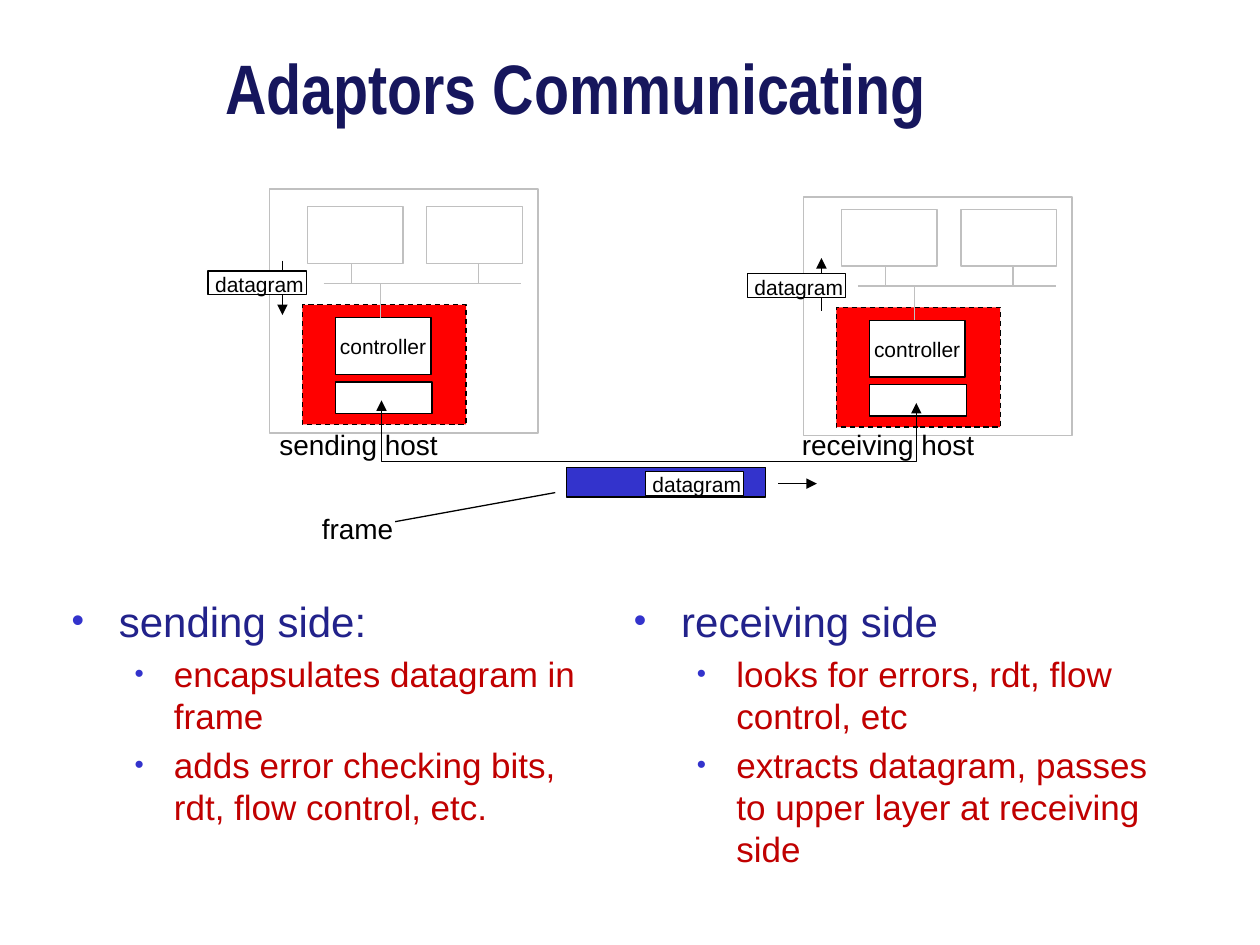
from dataclasses import dataclass
from lxml.etree import SubElement
from pptx import Presentation
from pptx.dml.color import RGBColor
from pptx.enum.dml import MSO_LINE
from pptx.enum.shapes import MSO_CONNECTOR, MSO_SHAPE
from pptx.enum.text import MSO_ANCHOR, MSO_AUTO_SIZE, PP_ALIGN
from pptx.oxml.ns import qn
from pptx.util import Pt


@dataclass(frozen=True)
class Theme:
    font: str = "Arial"
    title_font: str = "Arial Narrow"
    title: str = "16165D"
    heading: str = "22228B"
    detail: str = "C00000"
    accent: str = "3333CC"
    adaptor: str = "FF0000"
    black: str = "000000"
    white: str = "FFFFFF"
    grey: str = "C0C0C0"
    title_size: float = 40
    heading_size: float = 24
    detail_size: float = 20
    label_size: float = 16
    small_size: float = 12
    line_width: float = 0.75


THEME = Theme()


def set_values(target, values):
    for name, value in values.items():
        setattr(target, name, value)


def format_font(paragraph, size, color, name=THEME.font, bold=False):
    set_values(paragraph.font, {"size": Pt(size), "name": name, "bold": bold})
    paragraph.font.color.rgb = RGBColor.from_string(color)


def format_line(line, color, ends=(), dash=None):
    line.color.rgb = RGBColor.from_string(color)
    line.width = Pt(THEME.line_width)
    if dash:
        line.dash_style = dash
    for end in ends:
        SubElement(line._get_or_add_ln(), qn(f"a:{end}"), type="triangle")


def write_text(shape, text, size, color=THEME.black, wrap=False, **font_values):
    set_values(shape.text_frame, {"word_wrap": wrap, "vertical_anchor": MSO_ANCHOR.MIDDLE})
    paragraph = shape.text_frame.paragraphs[0]
    set_values(paragraph, {"text": text, "alignment": PP_ALIGN.CENTER})
    format_font(paragraph, size, color, **font_values)


def add_box(slide, left, top, width, height, fill=THEME.white, line=THEME.black, dash=None):
    shape = slide.shapes.add_shape(
        MSO_SHAPE.RECTANGLE, Pt(left), Pt(top), Pt(width), Pt(height))
    shape.shadow.inherit = False
    shape.fill.solid()
    shape.fill.fore_color.rgb = RGBColor.from_string(fill)
    format_line(shape.line, line, dash=dash)
    return shape


def add_line(slide, start_x, start_y, end_x, end_y, color=THEME.black, ends=()):
    connector = slide.shapes.add_connector(
        MSO_CONNECTOR.STRAIGHT, Pt(start_x), Pt(start_y), Pt(end_x), Pt(end_y))
    format_line(connector.line, color, ends)
    SubElement(connector._element.spPr, qn("a:effectLst"))


def add_label(slide, text, left, top, width, height, size=THEME.label_size):
    shape = slide.shapes.add_textbox(Pt(left), Pt(top), Pt(width), Pt(height))
    write_text(shape, text, size)
    set_values(shape.text_frame, {
        "margin_left": Pt(0), "margin_right": Pt(0), "auto_size": MSO_AUTO_SIZE.NONE})


def add_title(slide, left, top, width, height):
    shape = slide.shapes.add_textbox(Pt(left), Pt(top), Pt(width), Pt(height))
    write_text(shape, "Adaptors Communicating", THEME.title_size, THEME.title,
               wrap=True, name=THEME.title_font, bold=True)


def add_datagram(slide, left, top):
    add_box(slide, left, top, 56.2, 13.7)
    add_label(slide, "datagram", left - 2.9, top - 3.2, 64.8, 21.6, THEME.small_size)


def add_host(slide, left, top, width, height):
    bottom = top + height
    bus = bottom - 85.5
    add_box(slide, left, top, width, height, line=THEME.grey)
    add_box(slide, left + 18.8, bottom - 73.3, 93.6, 68.4, THEME.adaptor, dash=MSO_LINE.DASH)
    add_box(slide, left + 37.6, bottom - 29.3, 55.4, 18)
    controller = add_box(slide, left + 37.6, bottom - 66, 54.7, 32.4)
    write_text(controller, "controller", THEME.small_size)
    add_line(slide, left + 31, bus, left + 144, bus, THEME.grey)
    add_line(slide, left + 63.5, bottom - 66, left + 63.5, bus, THEME.grey)
    for box_left, stem in ((21.6, 47), (89.9, 119.6)):
        add_box(slide, left + box_left, bottom - 129.4, 54.7, 32.4, line=THEME.grey)
        add_line(slide, left + stem, bus, left + stem, bus - 11, THEME.grey)


def add_link(slide, left, top, width, height):
    right, bottom = left + width, top + height
    builder = slide.shapes.build_freeform(Pt(left), Pt(top))
    builder.add_line_segments(
        [(Pt(x), Pt(y)) for x, y in ((left, bottom), (right, bottom), (right, top + 1.5))],
        close=False)
    shape = builder.convert_to_shape()
    shape.shadow.inherit = False
    shape.fill.background()
    format_line(shape.line, THEME.black, ("headEnd", "tailEnd"))


def add_frame(slide, left, top, width, height):
    middle = top + 9.3
    add_box(slide, left, top, width, height, THEME.accent)
    add_datagram(slide, left + 44.9, top + 2.2)
    add_line(slide, left + 121, middle, left + 143, middle, ends=("tailEnd",))
    add_label(slide, "frame", left - 147.2, top + 21.6, 55.4, 26.6)
    add_line(slide, left - 98, top + 31, left - 6.5, top + 14.4)


def add_bullet(paragraph, indent, hanging, percent):
    properties = paragraph._p.get_or_add_pPr()
    properties.set("marL", str(Pt(indent)))
    properties.set("indent", str(-Pt(hanging)))
    color = SubElement(properties, qn("a:buClr"))
    SubElement(color, qn("a:srgbClr"), val=THEME.accent)
    SubElement(properties, qn("a:buSzPct"), val=str(percent * 1000))
    SubElement(properties, qn("a:buFont"), typeface=THEME.font)
    SubElement(properties, qn("a:buChar"), char="•")


def add_side(slide, left, top, width, height, heading, details):
    shape = slide.shapes.add_textbox(Pt(left), Pt(top), Pt(width), Pt(height))
    frame = shape.text_frame
    frame.word_wrap = True
    paragraph = frame.paragraphs[0]
    paragraph.text = heading
    add_bullet(paragraph, 27, 27, 85)
    format_font(paragraph, THEME.heading_size, THEME.heading)
    for detail in details:
        paragraph = frame.add_paragraph()
        set_values(paragraph, {"text": detail, "level": 1, "space_before": Pt(4)})
        add_bullet(paragraph, 58.5, 22.5, 75)
        format_font(paragraph, THEME.detail_size, THEME.detail)


def main():
    presentation = Presentation()
    set_values(presentation, {"slide_width": Pt(720), "slide_height": Pt(540)})
    slide = presentation.slides.add_slide(presentation.slide_layouts[6])

    add_title(slide, 23, 4.5, 612, 90)
    add_side(slide, 33.8, 336.6, 320.4, 152.6, "sending side:", (
        "encapsulates datagram in frame",
        "adds error checking bits, rdt, flow control, etc."))
    add_side(slide, 355.2, 336.6, 321.8, 145.4, "receiving side", (
        "looks for errors, rdt, flow control, etc",
        "extracts datagram, passes to upper layer at receiving side"))

    add_host(slide, 154, 108, 153.4, 139.5)
    add_host(slide, 459.2, 112.5, 153.4, 136.5)
    add_label(slide, "sending host", 152.4, 240.6, 105.1, 26.6)
    add_label(slide, "receiving host", 451, 240.6, 113, 26.6)
    add_line(slide, 161.4, 149, 161.4, 180, ends=("tailEnd",))
    add_datagram(slide, 118.8, 154.8)
    add_line(slide, 469.4, 147.5, 469.4, 178, ends=("headEnd",))
    add_datagram(slide, 427, 156.3)
    add_link(slide, 218, 228.8, 305.6, 34.8)
    add_frame(slide, 323.8, 267.1, 113.8, 16.9)

    presentation.save("out.pptx")


if __name__ == "__main__":
    main()
